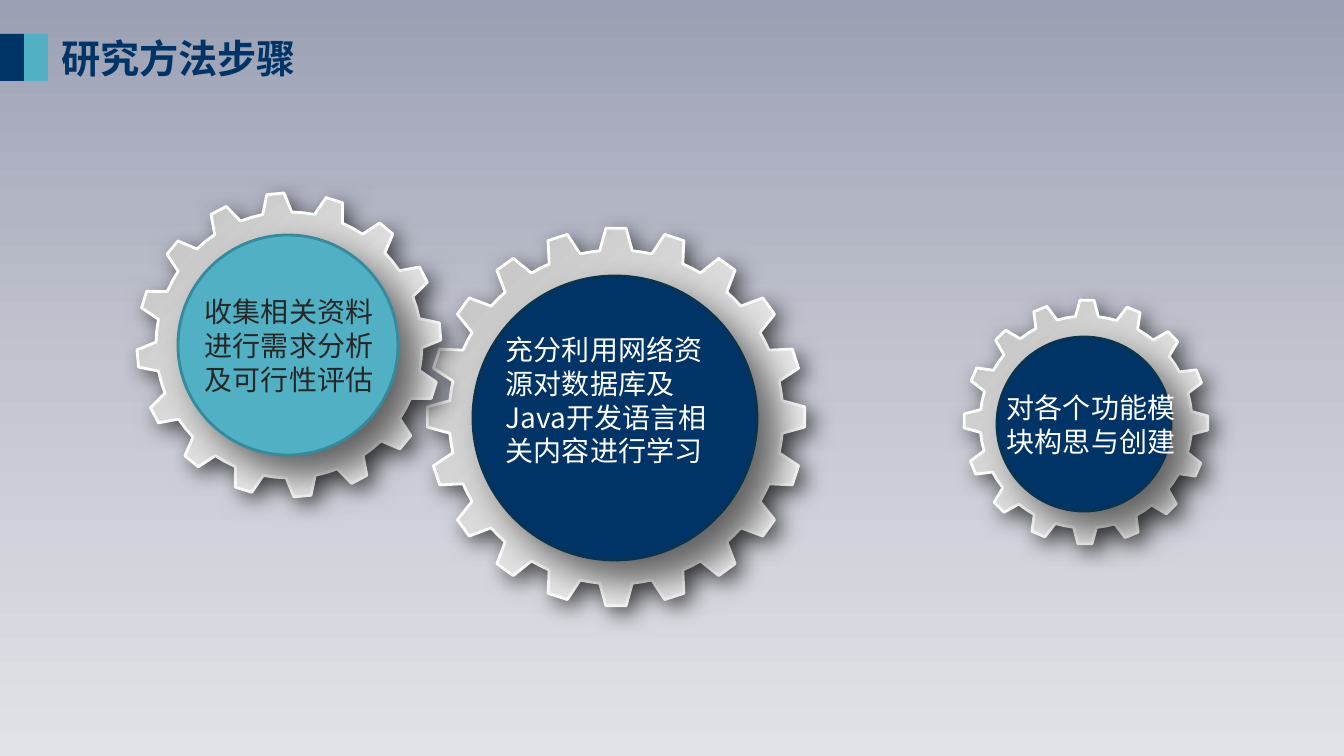
"""Build the research method slide with three captioned gears."""
import math

import lxml.etree
import pptx
import pptx.dml.color
import pptx.enum.shapes
import pptx.enum.text
import pptx.oxml.ns
import pptx.util

PIXEL = 914400 / 100.8
SHAPES = pptx.enum.shapes.MSO_SHAPE
rgb = pptx.dml.color.RGBColor.from_string
qn = pptx.oxml.ns.qn


class Theme:
    font = "Noto Sans CJK SC"
    title_size = pptx.util.Pt(28)
    caption_size = pptx.util.Pt(20)
    caption_spacing = pptx.util.Pt(24)
    outline = pptx.util.Pt(2)
    navy = rgb("003366")
    navy_edge = rgb("083451")
    teal = rgb("52B0C5")
    teal_edge = rgb("358A9D")
    dark = rgb("262626")
    white = rgb("FFFFFF")
    metal = [white, rgb("BFBFBF")]
    sky = [rgb("9BA0B4"), rgb("E2E3E8")]


def decorate(shape, color, edge, blur, distance):
    """Fill and outline a shape and cast its shadow to the lower right."""
    if isinstance(color, list):
        shape.fill.gradient()
        shape.fill.gradient_angle = 135
        for stop, stop_color in zip(shape.fill.gradient_stops, color):
            stop.color.rgb = stop_color
    else:
        shape.fill.solid()
        shape.fill.fore_color.rgb = color
    shape.line.color.rgb = edge
    shape.line.width = Theme.outline
    shape.shadow.inherit = False
    effects = shape.element.spPr.find(qn("a:effectLst"))
    shadow = lxml.etree.SubElement(
        effects, qn("a:outerShdw"), blurRad=str(pptx.util.Pt(blur)),
        dist=str(pptx.util.Pt(distance)), dir="2700000", algn="tl", rotWithShape="0")
    shadow_color = lxml.etree.SubElement(shadow, qn("a:srgbClr"), val="000000")
    lxml.etree.SubElement(shadow_color, qn("a:alpha"), val="60000")


def write(shape, text, box, paragraph_format, font_format, color):
    """Place a text shape at a pixel box and write one formatted paragraph."""
    for name, value in zip(("left", "top", "width", "height"), box):
        setattr(shape, name, round(value * PIXEL))
    frame = shape.text_frame
    frame.word_wrap = True
    frame.auto_size = pptx.enum.text.MSO_AUTO_SIZE.NONE
    paragraph = frame.paragraphs[0]
    for name, value in paragraph_format.items():
        setattr(paragraph, name, value)
    run = paragraph.add_run()
    run.text = text
    for name, value in font_format.items():
        setattr(run.font, name, value)
    run.font.color.rgb = color
    lxml.etree.SubElement(run.font._element, qn("a:ea"), typeface=Theme.font)


presentation = pptx.Presentation()
presentation.slide_width = round(1344 * PIXEL)
presentation.slide_height = round(756 * PIXEL)
slide = presentation.slides.add_slide(presentation.slide_layouts[5])

background = slide.background.fill
background.gradient()
background.gradient_angle = 270
for stop, stop_color in zip(background.gradient_stops, Theme.sky):
    stop.color.rgb = stop_color
stops = slide.element.find(".//" + qn("a:gsLst"))
middle = lxml.etree.Element(qn("a:gs"), pos="50000")
lxml.etree.SubElement(middle, qn("a:srgbClr"), val="C3C6D0")
stops.insert(1, middle)

gears = [
    {"center": (616, 417), "tip": 189, "root": 167, "teeth": 20, "phase": 0,
     "tip_half": 3.06, "root_half": 5.6},
    {"center": (289, 345), "tip": 152, "root": 133, "teeth": 16, "phase": -5.1,
     "tip_half": 3.25, "root_half": 6.3},
    {"center": (1086, 422), "tip": 122, "root": 106, "teeth": 16, "phase": 0.5,
     "tip_half": 3.3, "root_half": 6.2},
]
for gear in gears:
    pitch = 360 / gear["teeth"]
    profile = [(-gear["root_half"], gear["root"]), (-gear["tip_half"], gear["tip"]),
               (gear["tip_half"], gear["tip"]), (gear["root_half"], gear["root"]),
               (pitch / 2, gear["root"])]
    points = []
    for tooth in range(gear["teeth"]):
        for offset, radius in profile:
            angle = math.radians(gear["phase"] + tooth * pitch + offset)
            points.append(((gear["center"][0] + radius * math.sin(angle)) * PIXEL,
                           (gear["center"][1] - radius * math.cos(angle)) * PIXEL))
    builder = slide.shapes.build_freeform(*points[0])
    builder.add_line_segments(points[1:], close=True)
    decorate(builder.convert_to_shape(), Theme.metal, Theme.white, 16, 6)

discs = [
    (288, 345, 110, Theme.teal, Theme.teal_edge),
    (615, 418, 142, Theme.navy, Theme.navy_edge),
    (1084, 424, 87, Theme.navy, Theme.navy_edge),
]
for x, y, radius, color, edge in discs:
    box = [round(value * PIXEL) for value in (x - radius, y - radius, 2 * radius, 2 * radius)]
    disc = slide.shapes.add_shape(SHAPES.OVAL, *box)
    decorate(disc, color, edge, 30, 20)

caption_paragraph = {"line_spacing": Theme.caption_spacing}
caption_font = {"name": Theme.font, "size": Theme.caption_size}
captions = [
    ("收集相关资料进行需求分析及可行性评估", (195, 290, 189, 112), Theme.dark),
    ("对各个功能模块构思与创建", (997, 386, 201, 78), Theme.white),
    ("充分利用网络资源对数据库及Java开发语言相关内容进行学习", (496, 328, 241, 146), Theme.white),
]
for text, box, color in captions:
    caption = slide.shapes.add_textbox(0, 0, 0, 0)
    write(caption, text, box, caption_paragraph, caption_font, color)

title = slide.shapes.title
write(title, "研究方法步骤", (51, 29, 363, 57),
      {"alignment": pptx.enum.text.PP_ALIGN.LEFT},
      {"name": Theme.font, "size": Theme.title_size, "bold": True}, Theme.navy)
title.text_frame.vertical_anchor = pptx.enum.text.MSO_ANCHOR.MIDDLE

for index, color in enumerate((Theme.navy, Theme.teal)):
    box = [round(value * PIXEL) for value in (24 * index, 34, 24, 47)]
    marker = slide.shapes.add_shape(SHAPES.RECTANGLE, *box)
    marker.fill.solid()
    marker.fill.fore_color.rgb = color
    marker.line.fill.background()
    marker.shadow.inherit = False

presentation.save("out.pptx")
